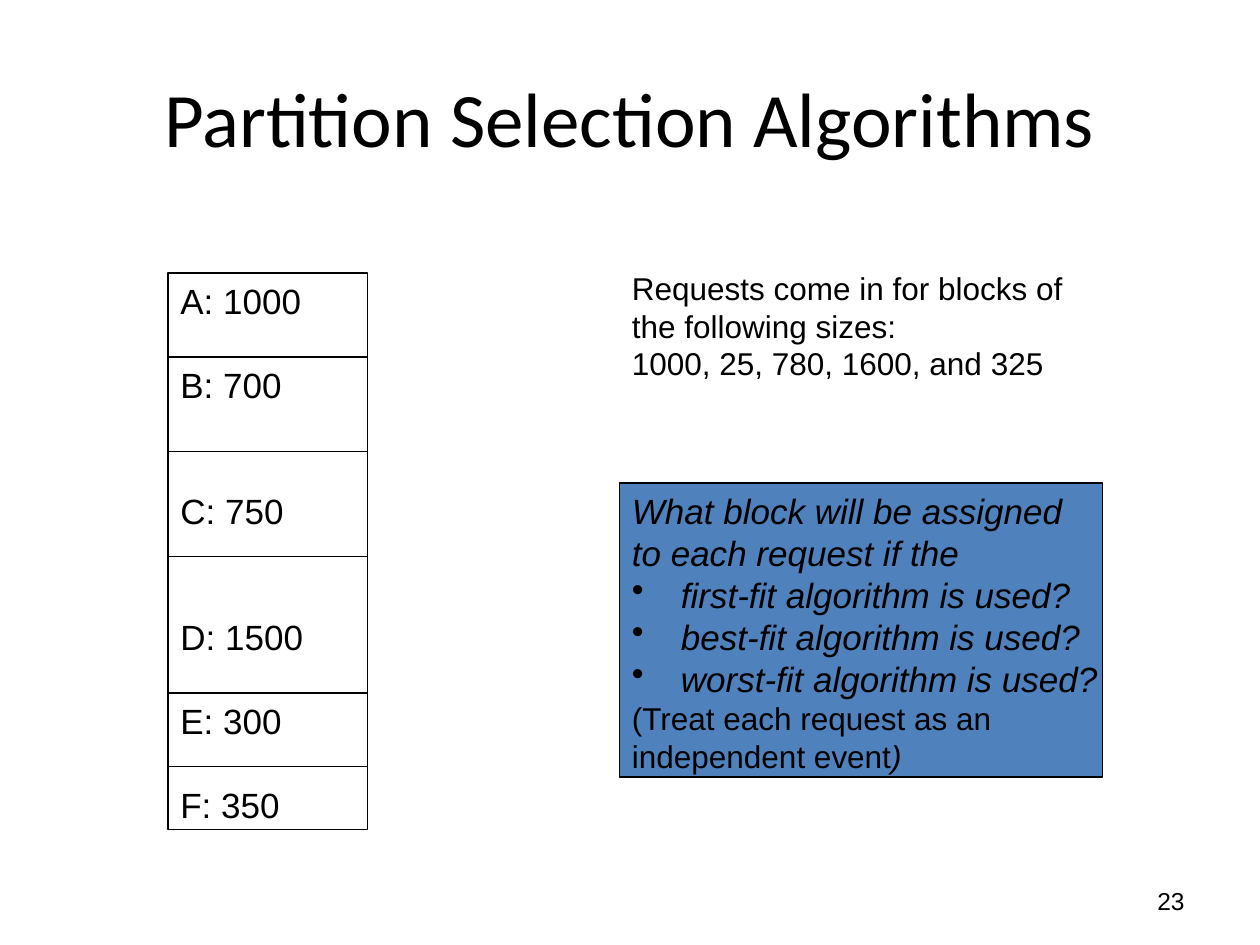
import itertools

import pptx
import pptx.dml.color
import pptx.enum.shapes
import pptx.enum.text
import pptx.oxml
import pptx.oxml.ns
import pptx.util

Pt = pptx.util.Pt
RGBColor = pptx.dml.color.RGBColor
ALIGN = pptx.enum.text.PP_ALIGN
ANCHOR = pptx.enum.text.MSO_ANCHOR

BLACK = RGBColor(0x00, 0x00, 0x00)
BLUE = RGBColor(0x4F, 0x81, 0xBD)

LINE_RATIO = 1.2
BULLET_INDENT = 28
PARTITION_LEFT, PARTITION_TOP, PARTITION_WIDTH = 96, 156, 114
PARTITIONS = [
    ("A: 1000", 48, 0),
    ("B: 700", 54, 24),
    ("C: 750", 60, 48),
    ("D: 1500", 78, 48),
    ("E: 300", 42, 24),
    ("F: 350", 36, 24),
]
REQUESTS = [
    "Requests come in for blocks of",
    "the following sizes:",
    "1000, 25, 780, 1600, and 325",
]
QUESTION = ["What block will be assigned", "to each request if the"]
ALGORITHMS = [
    "first-fit algorithm is used?",
    "best-fit algorithm is used?",
    "worst-fit algorithm is used?",
]
HINT = ["(Treat each request as an", "independent event"]


def style_run(run, size, font="Arial", italic=False):
    run.font.size = Pt(size)
    run.font.name = font
    run.font.italic = italic
    run.font.color.rgb = BLACK


def add_bullet(paragraph):
    properties = paragraph._p.get_or_add_pPr()
    properties.set("marL", str(Pt(BULLET_INDENT)))
    properties.set("indent", str(-Pt(BULLET_INDENT)))
    bullet = pptx.oxml.parse_xml(
        f'<a:buChar {pptx.oxml.ns.nsdecls("a")} char="•"/>'
    )
    properties.append(bullet)


def write_lines(frame, lines, size, italic=False, bulleted=False, gaps=None):
    for line, gap in zip(lines, gaps or itertools.repeat(0)):
        first = frame.paragraphs[0]
        paragraph = frame.add_paragraph() if first.runs else first
        paragraph.text = line
        paragraph.alignment = ALIGN.LEFT
        paragraph.line_spacing = Pt(size * LINE_RATIO)
        paragraph.space_before = Pt(gap)
        if bulleted:
            add_bullet(paragraph)
        style_run(paragraph.runs[0], size, italic=italic)
    return paragraph


def prepare_frame(frame):
    frame.word_wrap = True
    frame.vertical_anchor = ANCHOR.TOP
    frame.margin_right = 0
    return frame


def add_panel(slide, left, top, width, height, fill=None):
    panel = slide.shapes.add_shape(
        pptx.enum.shapes.MSO_SHAPE.RECTANGLE,
        Pt(left), Pt(top), Pt(width), Pt(height),
    )
    panel.shadow.inherit = False
    if fill is None:
        panel.fill.background()
    else:
        panel.fill.solid()
        panel.fill.fore_color.rgb = fill
    panel.line.color.rgb = BLACK
    panel.line.width = Pt(0.75)
    return prepare_frame(panel.text_frame)


def add_divider(slide, y):
    divider = slide.shapes.add_connector(
        pptx.enum.shapes.MSO_CONNECTOR.STRAIGHT,
        Pt(PARTITION_LEFT), Pt(y),
        Pt(PARTITION_LEFT + PARTITION_WIDTH), Pt(y),
    )
    divider.line.color.rgb = BLACK
    divider.line.width = Pt(0.75)
    divider._element.spPr.append(
        pptx.oxml.parse_xml(f'<a:effectLst {pptx.oxml.ns.nsdecls("a")}/>')
    )


def add_title(slide):
    title = slide.shapes.title
    title.left, title.top = Pt(36), Pt(21.6)
    title.width, title.height = Pt(648), Pt(90)
    title.text_frame.text = "Partition Selection Algorithms"
    title.text_frame.vertical_anchor = ANCHOR.MIDDLE
    paragraph = title.text_frame.paragraphs[0]
    paragraph.alignment = ALIGN.CENTER
    style_run(paragraph.runs[0], 44, "Calibri")


def add_page_number(slide):
    frame = slide.shapes.add_textbox(
        Pt(516), Pt(500.4), Pt(168), Pt(28.8)
    ).text_frame
    frame.word_wrap = True
    frame.vertical_anchor = ANCHOR.MIDDLE
    frame.text = "23"
    frame.paragraphs[0].alignment = ALIGN.RIGHT
    style_run(frame.paragraphs[0].runs[0], 14)


def add_partitions(slide):
    labels, heights, gaps = zip(*PARTITIONS)
    frame = add_panel(
        slide, PARTITION_LEFT, PARTITION_TOP, PARTITION_WIDTH, sum(heights)
    )
    write_lines(frame, labels, 20, gaps=gaps)
    for offset in itertools.accumulate(heights[:-1]):
        add_divider(slide, PARTITION_TOP + offset)


def add_requests(slide):
    requests = slide.shapes.add_textbox(Pt(354), Pt(150), Pt(264), Pt(84))
    write_lines(prepare_frame(requests.text_frame), REQUESTS, 18)


def add_question(slide):
    frame = add_panel(slide, 354, 276, 276, 168, BLUE)
    write_lines(frame, QUESTION, 20, italic=True)
    write_lines(frame, ALGORITHMS, 20, italic=True, bulleted=True)
    closing_line = write_lines(frame, HINT, 18)
    parenthesis = closing_line.add_run()
    parenthesis.text = ")"
    style_run(parenthesis, 18, italic=True)


def main():
    presentation = pptx.Presentation()
    presentation.slide_width = Pt(720)
    presentation.slide_height = Pt(540)
    slide = presentation.slides.add_slide(presentation.slide_layouts[5])
    add_title(slide)
    add_page_number(slide)
    add_partitions(slide)
    add_requests(slide)
    add_question(slide)
    presentation.save("out.pptx")


if __name__ == "__main__":
    main()
